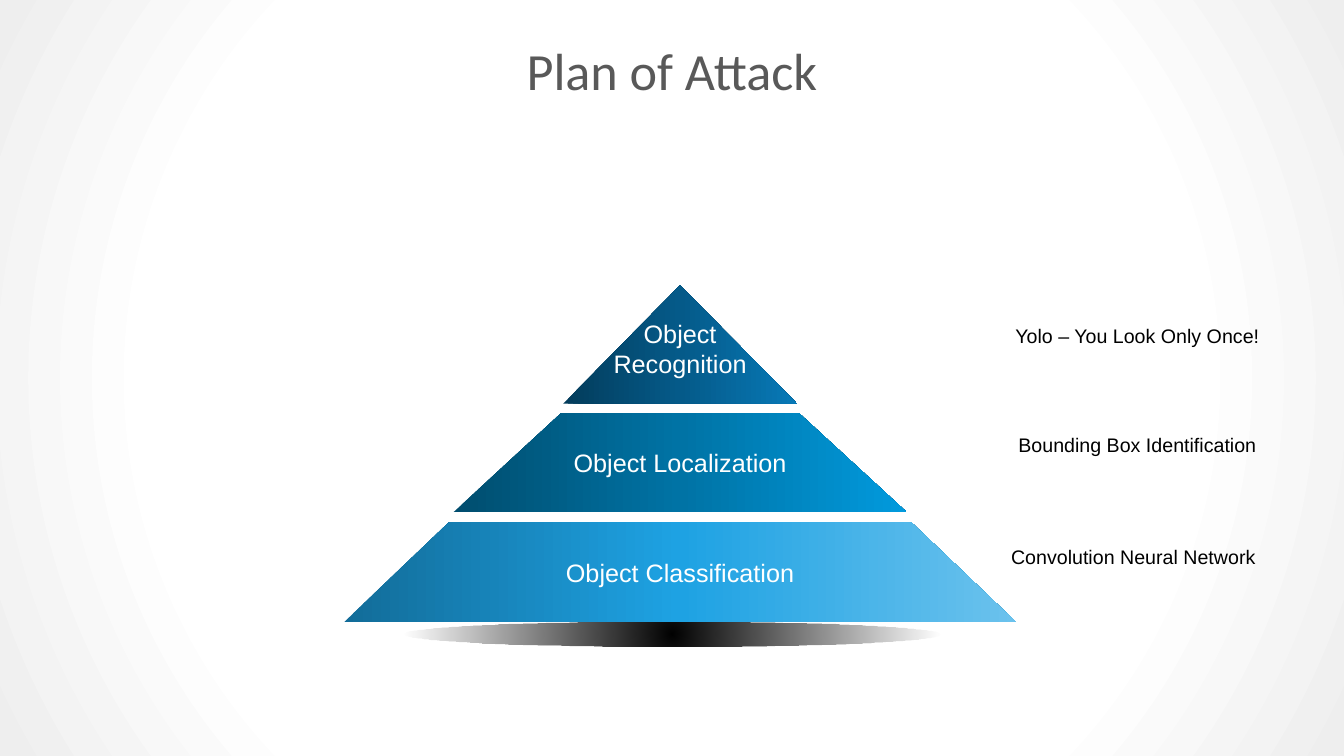
from dataclasses import dataclass

from lxml import etree
from pptx import Presentation
from pptx.dml.color import RGBColor
from pptx.enum import shapes, text
from pptx.oxml import ns
from pptx.util import Pt


@dataclass(frozen=True)
class Theme:
    """Colours, fonts and type sizes of the slide."""
    title: tuple = ("Calibri", 37.3, "595959")
    tier: tuple = ("Arial", 18, "FFFFFF")
    note: tuple = ("Arial", 14, "000000")
    back: tuple = ((0, "FFFFFF", 100), (67, "FFFFFF", 100), (100, "EEEEEE", 100))
    shade: tuple = ((0, "000000", 100), (100, "000000", 0))
    top: tuple = ((0, "033C5B", 100), (50, "055A89", 100), (100, "0779B7", 100))
    mid: tuple = ((0, "004D6E", 100), (50, "0073A5", 100), (100, "019ADD", 100))
    base: tuple = ((0, "126C99", 100), (50, "1EA2E3", 100), (100, "6BC2ED", 100))


LOOK = Theme()
MID, LOW = text.MSO_ANCHOR.MIDDLE, text.MSO_ANCHOR.BOTTOM
TIERS = (
    (0, 84.6, 0, 83.5, LOOK.top, "Object\nRecognition", LOW, 18),
    (91.4, 162.2, 85, 162, LOOK.mid, "Object Localization", MID, 3.6),
    (169.2, 240.4, 165, 239.8, LOOK.base, "Object Classification", MID, 3.6),
)
NOTES = (
    (0, 0, "Yolo – You Look Only Once!"),
    (0, 78.5, "Bounding Box Identification"),
    (-2.9, 158.4, "Convolution Neural Network"),
)


def blend(fill, root, stops, round_=False):
    """Give a fill linear or round gradient stops of place, colour and opacity."""
    fill.gradient()
    grad = next(root.iter(ns.qn("a:gradFill")))
    for kid in list(grad):
        grad.remove(kid)
    line = etree.SubElement(grad, ns.qn("a:gsLst"))
    for pos, hue, alpha in stops:
        stop = etree.SubElement(line, ns.qn("a:gs"), pos=str(pos * 1000))
        tint = etree.SubElement(stop, ns.qn("a:srgbClr"), val=hue)
        if alpha < 100:
            etree.SubElement(tint, ns.qn("a:alpha"), val=str(alpha * 1000))
    if round_:
        way = etree.SubElement(grad, ns.qn("a:path"), path="circle")
        etree.SubElement(way, ns.qn("a:fillToRect"),
                         {side: "50000" for side in "ltrb"})
    else:
        etree.SubElement(grad, ns.qn("a:lin"), ang="0", scaled="0")


def write(shape, words, style, anchor=MID, foot=3.6):
    """Set centred text in a shape, one paragraph a line."""
    name, size, hue = style
    frame = shape.text_frame
    frame.text = words
    form = {"word_wrap": True, "vertical_anchor": anchor,
            "margin_left": Pt(7.2), "margin_right": Pt(7.2),
            "margin_top": Pt(3.6), "margin_bottom": Pt(foot)}
    for key, value in form.items():
        setattr(frame, key, value)
    for para in frame.paragraphs:
        para.alignment = text.PP_ALIGN.CENTER
        for run in para.runs:
            for key, value in {"name": name, "size": Pt(size)}.items():
                setattr(run.font, key, value)
            run.font.color.rgb = RGBColor.from_string(hue)


def paint(shape, stops, round_=False):
    """Fill a shape with a gradient and drop its outline and shadow."""
    blend(shape.fill, shape._element, stops, round_)
    shape.line.fill.background()
    shape.shadow.inherit = False


def label(slide, box, words, style, anchor=MID):
    """Place a text box."""
    item = slide.shapes.add_textbox(*map(Pt, box))
    write(item, words, style, anchor)


def pyramid(slide, box):
    """Draw the tiers, over an oval shade, in a box."""
    left, top, width, height = box
    axis = left + width / 2
    oval = slide.shapes.add_shape(
        shapes.MSO_SHAPE.OVAL, Pt(left + 42.5), Pt(top + height), Pt(383), Pt(17.3))
    paint(oval, LOOK.shade, True)
    for head, foot, slim, wide, stops, words, anchor, pad in reversed(TIERS):
        pts = [(axis + slim, top + head), (axis + wide, top + foot),
               (axis - wide, top + foot), (axis - slim, top + head)]
        draw = slide.shapes.build_freeform(Pt(axis - slim), Pt(top + head))
        draw.add_line_segments([(Pt(x), Pt(y)) for x, y in pts])
        tier = draw.convert_to_shape()
        paint(tier, stops)
        write(tier, words, LOOK.tier, anchor, pad)


def notes(slide, box):
    """Place the remarks beside the tiers."""
    left, top, width, height = box
    for right, down, words in NOTES:
        label(slide, (left + right, top + down, width, height), words,
              LOOK.note, text.MSO_ANCHOR.TOP)


def main():
    """Build and save the slide."""
    deck = Presentation()
    deck.slide_width, deck.slide_height = Pt(960), Pt(540)
    slide = deck.slides.add_slide(deck.slide_layouts[6])
    blend(slide.background.fill, slide._element, LOOK.back, True)
    label(slide, (0, 21.6, 960, 56.2), "Plan of Attack", LOOK.title)
    pyramid(slide, (246, 203.8, 479.6, 240.4))
    notes(slide, (710.6, 227.5, 203.8, 24.5))
    deck.save("out.pptx")


if __name__ == "__main__":
    main()
